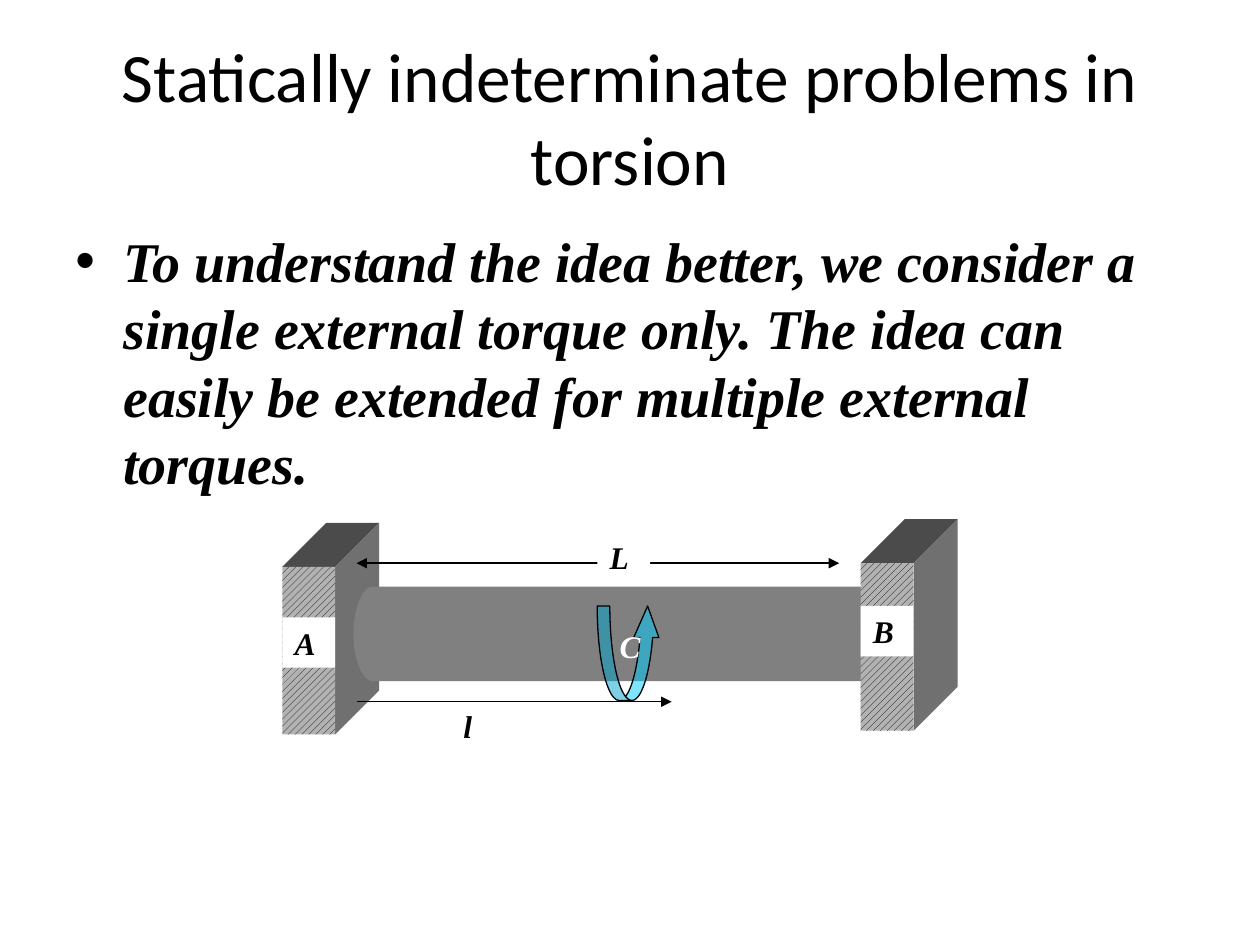
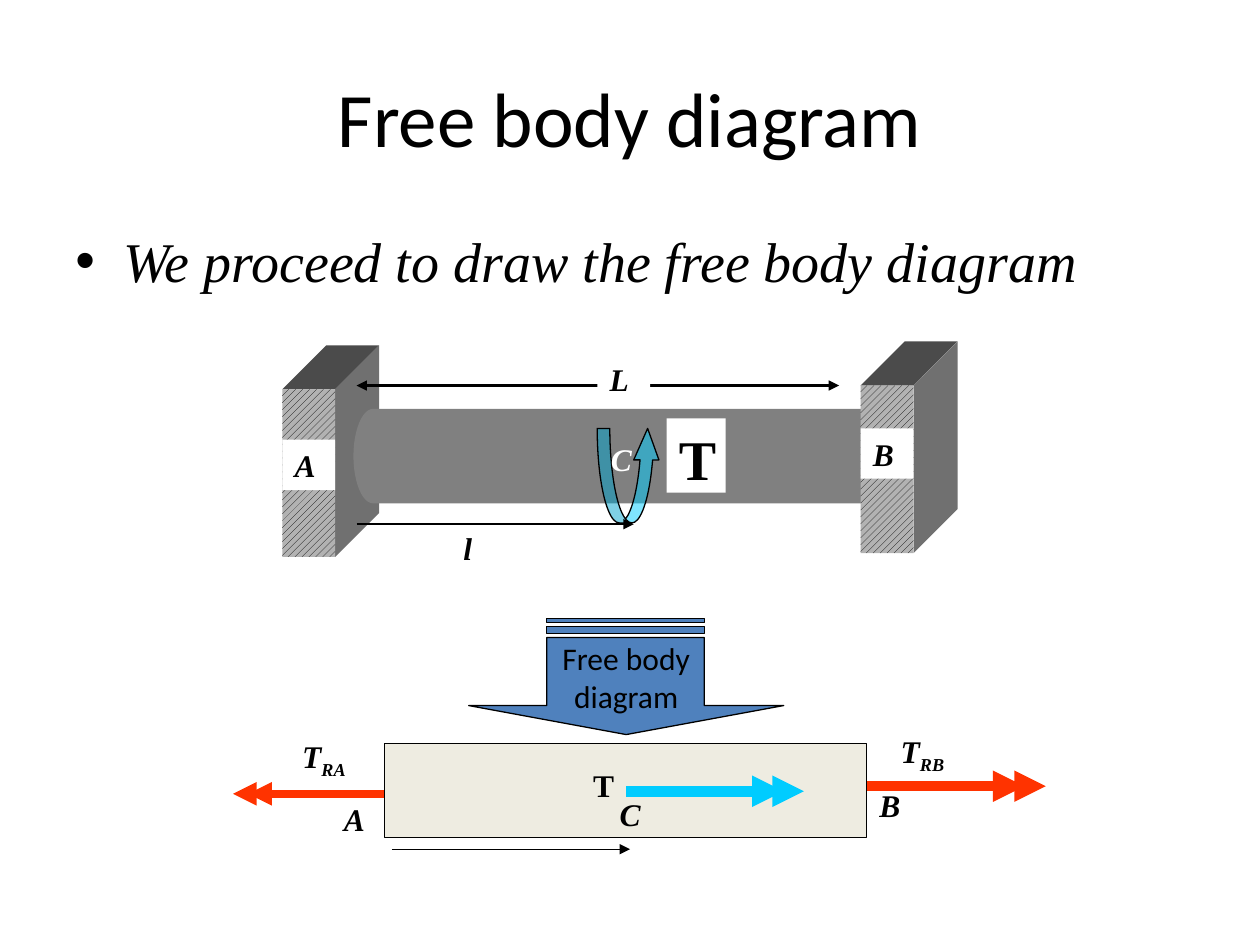
from dataclasses import dataclass

from lxml import etree
from pptx import Presentation
from pptx.dml.color import RGBColor
from pptx.enum.dml import MSO_PATTERN
from pptx.enum.shapes import MSO_CONNECTOR, MSO_SHAPE
from pptx.enum.text import MSO_ANCHOR, MSO_AUTO_SIZE, PP_ALIGN
from pptx.oxml.ns import qn
from pptx.util import Inches, Pt

STRAIGHT = MSO_CONNECTOR.STRAIGHT
RECTANGLE = MSO_SHAPE.RECTANGLE
CAN = MSO_SHAPE.CAN
CURVED_UP_ARROW = MSO_SHAPE.CURVED_UP_ARROW
HATCH = MSO_PATTERN.WIDE_UPWARD_DIAGONAL
CENTER = PP_ALIGN.CENTER
TOP = MSO_ANCHOR.TOP
MIDDLE = MSO_ANCHOR.MIDDLE
FIT_SHAPE = MSO_AUTO_SIZE.SHAPE_TO_FIT_TEXT

SANS = "Calibri"
SERIF = "Times New Roman"
BLACK = "000000"
WHITE = "FFFFFF"
ROD_GREY = "808080"
WALL_FRONT = "B2B2B2"
WALL_TOP = "4B4B4B"
WALL_SIDE = "707070"
CYAN = "00CCFF"
RED = "FF3300"
BLUE = "4F81BD"
BEAM = "EEECE1"

WALL_WIDTH = 0.42
WALL_HEIGHT = 1.33
WALL_DEPTH = 0.35


@dataclass(frozen=True)
class Label:
    text: str
    left: float
    top: float
    width: float = 0.42
    height: float = 0.4
    subscript: str = ""
    size: float = 18
    italic: bool = True
    color: str = BLACK
    fill: str = ""
    wrap: bool = True


@dataclass(frozen=True)
class Arrow:
    left: float
    right: float
    y: float
    color: str = BLACK
    width: float = 0.75
    both_ends: bool = False


@dataclass(frozen=True)
class Torque:
    start: float
    y: float
    length: float
    step: float
    color: str
    width: float


def rgb(value: str) -> RGBColor:
    return RGBColor.from_string(value)


def paint(shape, fill: str, line: str = "") -> None:
    shape.shadow.inherit = False
    shape.fill.solid()
    shape.fill.fore_color.rgb = rgb(fill)
    if line:
        shape.line.color.rgb = rgb(line)
        shape.line.width = Pt(0.75)
    else:
        shape.line.fill.background()


def add_run(paragraph, text: str, font: str, size: float, color: str = BLACK,
            bold: bool = False, italic: bool = False):
    run = paragraph.add_run()
    run.text = text
    run.font.name = font
    run.font.size = Pt(size)
    run.font.color.rgb = rgb(color)
    run.font.bold = bold
    run.font.italic = italic
    return run


def add_box(slide, left: float, top: float, width: float, height: float):
    shape = slide.shapes.add_textbox(
        Inches(left), Inches(top), Inches(width), Inches(height))
    shape.text_frame.word_wrap = True
    return shape


def add_preset(slide, kind, left: float, top: float, width: float,
               height: float):
    return slide.shapes.add_shape(
        kind, Inches(left), Inches(top), Inches(width), Inches(height))


def add_outline(slide, outlines: list, fill: str, line: str = ""):
    contours = [[(Inches(x), Inches(y)) for x, y in outline]
                for outline in outlines]
    builder = slide.shapes.build_freeform(*contours[0][0], scale=1.0)
    builder.add_line_segments(contours[0][1:], close=True)
    for contour in contours[1:]:
        builder.move_to(*contour[0])
        builder.add_line_segments(contour[1:], close=True)
    shape = builder.convert_to_shape()
    paint(shape, fill, line)
    return shape


def add_title(slide, text: str, size: float) -> None:
    frame = add_box(slide, 0.5, 0.3, 9, 1.25).text_frame
    frame.vertical_anchor = MIDDLE
    paragraph = frame.paragraphs[0]
    paragraph.alignment = CENTER
    add_run(paragraph, text, SANS, size)


def add_bullet(slide, text: str, bold: bool) -> None:
    paragraph = add_box(slide, 0.5, 1.75, 9, 4.95).text_frame.paragraphs[0]
    properties = paragraph._p.get_or_add_pPr()
    properties.set("marL", str(Inches(0.38)))
    properties.set("indent", str(Inches(-0.38)))
    etree.SubElement(properties, qn("a:buFont"), typeface="Arial")
    etree.SubElement(properties, qn("a:buChar"), char="•")
    add_run(paragraph, text, SERIF, 32, bold=bold, italic=True)


def add_label(slide, label: Label) -> None:
    shape = add_box(slide, label.left, label.top, label.width, label.height)
    if label.fill:
        shape.fill.solid()
        shape.fill.fore_color.rgb = rgb(label.fill)
    frame = shape.text_frame
    frame.word_wrap = label.wrap
    frame.auto_size = FIT_SHAPE
    frame.vertical_anchor = TOP
    paragraph = frame.paragraphs[0]
    add_run(paragraph, label.text, SERIF, label.size, label.color,
            bold=True, italic=label.italic)
    if label.subscript:
        run = add_run(paragraph, label.subscript, SERIF, label.size,
                      label.color, bold=True, italic=label.italic)
        run._r.get_or_add_rPr().set("baseline", "-25000")


def add_arrow(slide, arrow: Arrow) -> None:
    connector = slide.shapes.add_connector(
        STRAIGHT, Inches(arrow.left), Inches(arrow.y),
        Inches(arrow.right), Inches(arrow.y))
    connector.line.color.rgb = rgb(arrow.color)
    connector.line.width = Pt(arrow.width)
    line = connector.line._get_or_add_ln()
    if arrow.both_ends:
        etree.SubElement(line, qn("a:headEnd"), type="triangle")
    etree.SubElement(line, qn("a:tailEnd"), type="triangle")
    etree.SubElement(connector._element.spPr, qn("a:effectLst"))


def add_torque(slide, torque: Torque) -> None:
    for start in (torque.start, torque.start + torque.step):
        add_arrow(slide, Arrow(start, start + torque.length, torque.y,
                               torque.color, torque.width))


def add_wall(slide, left: float, top: float) -> None:
    right, bottom = left + WALL_WIDTH, top + WALL_HEIGHT
    back_right, back_top = right + WALL_DEPTH, top - WALL_DEPTH
    add_outline(slide, [[(left, top), (left + WALL_DEPTH, back_top),
                         (back_right, back_top), (right, top)]], WALL_TOP)
    add_outline(slide, [[(right, top), (back_right, back_top),
                         (back_right, bottom - WALL_DEPTH),
                         (right, bottom)]], WALL_SIDE)
    front = add_preset(slide, RECTANGLE, left, top, WALL_WIDTH, WALL_HEIGHT)
    paint(front, WALL_FRONT)
    front.fill.patterned()
    front.fill.pattern = HATCH
    front.fill.fore_color.rgb = rgb(BLACK)
    front.fill.back_color.rgb = rgb(WALL_FRONT)


def add_twist(slide, left: float, top: float) -> None:
    twist = add_preset(slide, CURVED_UP_ARROW, left, top, 0.5, 0.75)
    for index, value in enumerate((0.2, 0.4, 0.5)):
        twist.adjustments[index] = value
    paint(twist, CYAN, BLACK)
    fill = twist._element.spPr.find(qn("a:solidFill"))
    etree.SubElement(fill[0], qn("a:alpha"), val="50000")


def add_fixed_rod(slide, top: float, length_end: float) -> None:
    add_wall(slide, 2.24, top + 0.03)
    rod = add_preset(slide, CAN, 4.65, top - 1.66, 0.75, 4.44)
    rod.rotation = 90
    rod.adjustments[0] = 0.416
    paint(rod, ROD_GREY)
    add_twist(slide, 4.74, top + 0.34)
    add_wall(slide, 6.83, top)
    add_arrow(slide, Arrow(2.83, length_end, top + 1.1))
    add_arrow(slide, Arrow(2.83, 6.66, top, width=1.5, both_ends=True))
    for label in (
        Label("A", 2.24, top + 0.43, fill=WHITE),
        Label("B", 6.83, top + 0.34, fill=WHITE),
        Label("l", 3.58, top + 1.09),
        Label("L", 4.74, top - 0.25, fill=WHITE),
    ):
        add_label(slide, label)


def bar(left: float, top: float, right: float, bottom: float) -> list:
    return [(left, top), (right, top), (right, bottom), (left, bottom)]


def add_step_arrow(slide, text: str) -> None:
    head = [(3.72, 5.6), (4.34, 5.6), (4.34, 5.06), (5.59, 5.06),
            (5.59, 5.6), (6.22, 5.6), (4.97, 5.83)]
    stripes = [bar(4.34, top, 5.59, bottom)
               for top, bottom in ((4.97, 5.03), (4.91, 4.94))]
    shape = add_outline(slide, [head, *stripes], BLUE, BLACK)
    frame = shape.text_frame
    frame.word_wrap = True
    frame.vertical_anchor = MIDDLE
    frame.margin_left = frame.margin_right = Inches(0.68)
    paragraph = frame.paragraphs[0]
    paragraph.alignment = CENTER
    add_run(paragraph, text, SANS, 18)


def add_free_body(slide) -> None:
    add_step_arrow(slide, "Free body diagram")
    beam = add_preset(slide, RECTANGLE, 3.05, 5.9, 3.83, 0.75)
    paint(beam, BEAM, BLACK)
    for torque in (
        Torque(3.05, 6.3, -1.08, -0.12, RED, 4.5),
        Torque(4.97, 6.28, 1.25, 0.16, CYAN, 6),
        Torque(6.88, 6.24, 1.25, 0.17, RED, 6),
    ):
        add_torque(slide, torque)
    add_arrow(slide, Arrow(3.11, 5, 6.74))
    for label in (
        Label("T", 2.3, 5.8, width=0.58, subscript="RA"),
        Label("T", 7.05, 5.76, width=0.67, subscript="RB"),
        Label("A", 2.63, 6.3),
        Label("B", 6.88, 6.19),
        Label("T", 4.61, 6.03, width=0.37, italic=False, wrap=False),
        Label("C", 4.82, 6.26),
    ):
        add_label(slide, label)


def build_problem_slide(slide) -> None:
    add_title(slide, "Statically indeterminate problems in torsion", 39.6)
    add_bullet(slide, "To understand the idea better, we consider a single "
               "external torque only. The idea can easily be extended for "
               "multiple external torques.", bold=True)
    add_fixed_rod(slide, 4.47, 5.33)
    add_label(slide, Label("C", 4.82, 4.93, color=WHITE))


def build_free_body_slide(slide) -> None:
    add_title(slide, "Free body diagram", 44)
    add_bullet(slide, "We proceed to draw the free body diagram", bold=False)
    add_fixed_rod(slide, 3.06, 5.03)
    add_label(slide, Label("T", 5.29, 3.32, 0.47, 0.59, size=32,
                           italic=False, fill=WHITE))
    add_label(slide, Label("C", 4.75, 3.44, color=WHITE))
    add_free_body(slide)


def main() -> None:
    presentation = Presentation()
    presentation.slide_width = Inches(10)
    presentation.slide_height = Inches(7.5)
    blank = presentation.slide_layouts[6]
    for build in (build_problem_slide, build_free_body_slide):
        build(presentation.slides.add_slide(blank))
    presentation.save("out.pptx")


if __name__ == "__main__":
    main()
